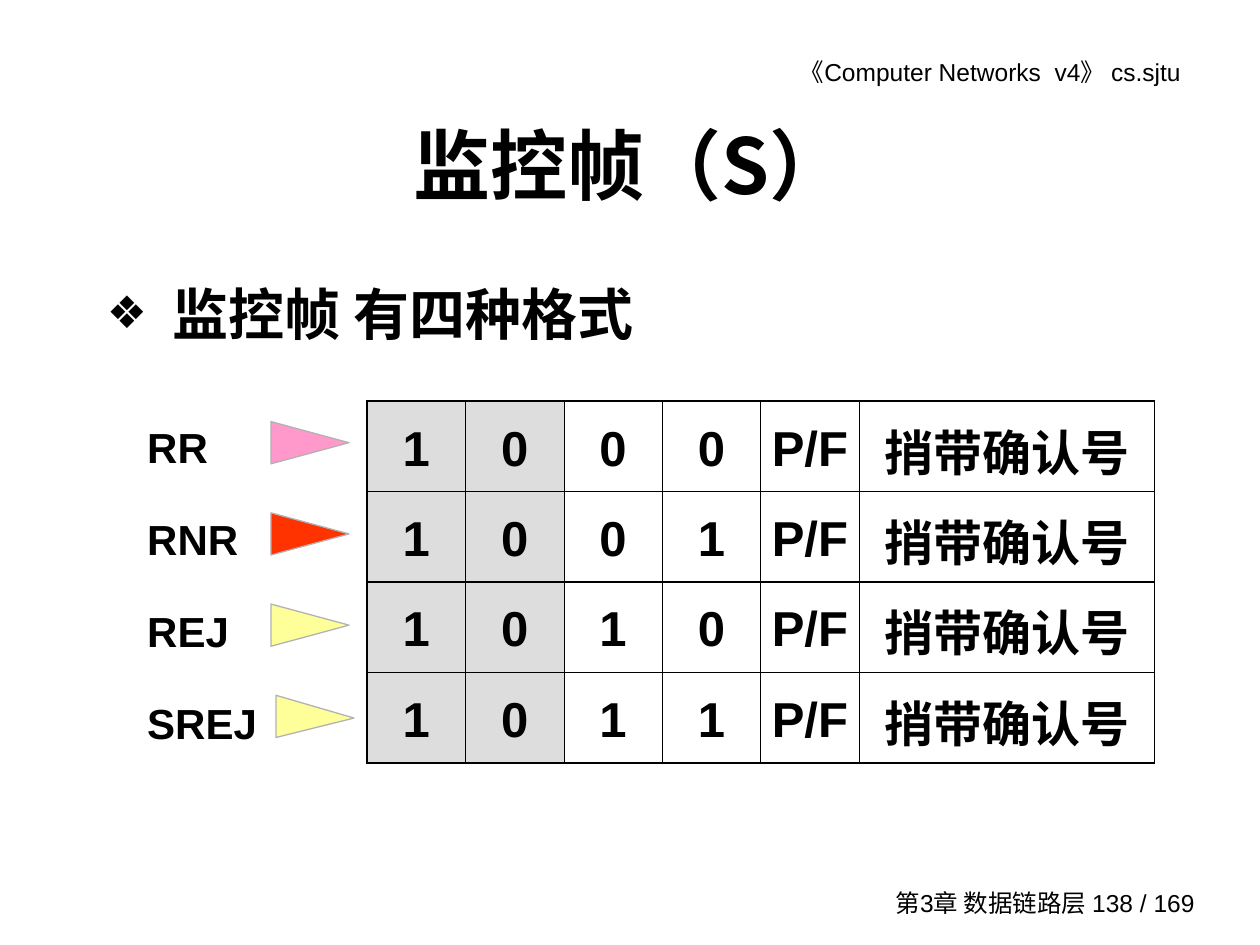
from dataclasses import dataclass

from lxml import etree
from pptx import Presentation
from pptx.dml.color import RGBColor
from pptx.enum.shapes import MSO_SHAPE
from pptx.enum.text import MSO_ANCHOR, PP_ALIGN
from pptx.oxml.ns import qn
from pptx.slide import Slide
from pptx.text.text import TextFrame
from pptx.util import Inches, Length, Pt

LEFT, CENTER, RIGHT = PP_ALIGN.LEFT, PP_ALIGN.CENTER, PP_ALIGN.RIGHT
TOP, MIDDLE = MSO_ANCHOR.TOP, MSO_ANCHOR.MIDDLE
TRIANGLE = MSO_SHAPE.ISOSCELES_TRIANGLE


@dataclass(frozen=True)
class Theme:
    latin: str = "Arial"
    chinese: str = "Noto Sans CJK SC"
    ink: str = "000000"
    fixed_bits: str = "DDDDDD"
    arrow_edge: str = "B2B2B2"
    title: int = 44
    body: int = 32
    cell: int = 28
    label: int = 24
    margin_note: int = 14
    outer_rule: float = 1.08
    inner_rule: float = 0.45


THEME = Theme()


def grid(units: float) -> Length:
    """The slide is a grid of 100 columns by 75 rows of equal pitch."""
    return Inches(units / 10)


@dataclass(frozen=True)
class Area:
    col: float
    row: float
    cols: float
    rows: float

    def lengths(self) -> tuple[Length, ...]:
        return tuple(grid(n) for n in (self.col, self.row, self.cols, self.rows))


@dataclass(frozen=True)
class Style:
    size: int
    bold: bool = True
    align: PP_ALIGN = LEFT
    spacing: float = 1.0
    gap: float = 0
    latin: str = THEME.latin


@dataclass(frozen=True)
class Frame:
    name: str
    code: str
    arrow_color: str
    arrow_shift: float = 0
    tip: float = 0.5


FRAMES = (
    Frame("RR", "00", "FF99CC"),
    Frame("RNR", "01", "FF3300"),
    Frame("REJ", "10", "FFFF99"),
    Frame("SREJ", "11", "FFFF99", arrow_shift=0.4, tip=0.54),
)
FIXED_BITS = "10"
COLUMN_SHARES = (1, 1, 1, 1, 1, 3)
TABLE = Area(29.13, 31.83, 62.5, 28.72)
FIRST_ARROW = Area(21.5, 33.46, 6.2, 3.35)
ARROW_PITCH = 7.24


def write(text_frame: TextFrame, lines: list[str], style: Style) -> None:
    for index, line in enumerate(lines):
        paragraph = text_frame.paragraphs[0] if index == 0 else text_frame.add_paragraph()
        paragraph.alignment = style.align
        paragraph.line_spacing = style.spacing
        paragraph.space_before = Pt(style.gap if index else 0)
        run = paragraph.add_run()
        run.text = line
        font = run.font
        font.size, font.bold, font.name = Pt(style.size), style.bold, style.latin
        font.color.rgb = RGBColor.from_string(THEME.ink)
        etree.SubElement(run._r.get_or_add_rPr(), qn("a:ea"), typeface=THEME.chinese)


def add_text(slide: Slide, area: Area, lines: list[str], style: Style,
             anchor: MSO_ANCHOR = TOP) -> TextFrame:
    text_frame = slide.shapes.add_textbox(*area.lengths()).text_frame
    text_frame.word_wrap = True
    text_frame.vertical_anchor = anchor
    write(text_frame, lines, style)
    return text_frame


def add_bullet(text_frame: TextFrame, mark: str, percent: int, indent: float) -> None:
    properties = text_frame.paragraphs[0]._p.get_or_add_pPr()
    properties.set("marL", str(grid(indent)))
    properties.set("indent", str(-grid(indent)))
    color = etree.SubElement(properties, qn("a:buClr"))
    etree.SubElement(color, qn("a:srgbClr"), val=THEME.ink)
    etree.SubElement(properties, qn("a:buSzPct"), val=str(percent * 1000))
    etree.SubElement(properties, qn("a:buFont"), typeface=THEME.latin)
    etree.SubElement(properties, qn("a:buChar"), char=mark)


def rule_cell(cell, is_first: bool, is_last: bool) -> None:
    """Thin rules between columns, heavier ones everywhere else."""
    widths = {
        "a:lnL": THEME.outer_rule if is_first else THEME.inner_rule,
        "a:lnR": THEME.outer_rule if is_last else THEME.inner_rule,
        "a:lnT": THEME.outer_rule,
        "a:lnB": THEME.outer_rule,
    }
    for tag, width in widths.items():
        rule = etree.SubElement(cell._tc.get_or_add_tcPr(), qn(tag), w=str(Pt(width)))
        fill = etree.SubElement(rule, qn("a:solidFill"))
        etree.SubElement(fill, qn("a:srgbClr"), val=THEME.ink)


def add_frame_table(slide: Slide, frames: tuple[Frame, ...]) -> None:
    last = len(COLUMN_SHARES) - 1
    table = slide.shapes.add_table(len(frames), last + 1, *TABLE.lengths()).table
    table.first_row = table.horz_banding = False
    for column, share in zip(table.columns, COLUMN_SHARES):
        column.width = grid(TABLE.cols * share / sum(COLUMN_SHARES))
    style = Style(THEME.cell, align=CENTER, spacing=1.1)
    for row, frame in zip(table.rows, frames):
        row.height = grid(TABLE.rows / len(frames))
        fields = [*FIXED_BITS, *frame.code, "P/F", "捎带确认号"]
        for index, (cell, field) in enumerate(zip(row.cells, fields)):
            rule_cell(cell, index == 0, index == last)
            if index < len(FIXED_BITS):
                cell.fill.solid()
                cell.fill.fore_color.rgb = RGBColor.from_string(THEME.fixed_bits)
            else:
                cell.fill.background()
            cell.margin_left = cell.margin_right = grid(0.4)
            cell.vertical_anchor = MIDDLE
            write(cell.text_frame, [field], style)


def add_arrow(slide: Slide, area: Area, frame: Frame) -> None:
    """A triangle turned a quarter so that it fills the area, pointing right."""
    upright = Area(area.col + (area.cols - area.rows) / 2,
                   area.row - (area.cols - area.rows) / 2, area.rows, area.cols)
    arrow = slide.shapes.add_shape(TRIANGLE, *upright.lengths())
    arrow.rotation = 90
    arrow.adjustments[0] = frame.tip
    arrow.shadow.inherit = False
    arrow.fill.solid()
    arrow.fill.fore_color.rgb = RGBColor.from_string(frame.arrow_color)
    arrow.line.color.rgb = RGBColor.from_string(THEME.arrow_edge)
    arrow.line.width = Pt(0.75)


def main() -> None:
    presentation = Presentation()
    presentation.slide_width, presentation.slide_height = grid(100), grid(75)
    slide = presentation.slides.add_slide(presentation.slide_layouts[6])

    # Header and footer
    note = Style(THEME.margin_note, bold=False, align=RIGHT)
    header = add_text(slide, Area(52.7, 4, 43.1, 3.4),
                      ["《Computer Networks  v4》 cs.sjtu"], note)
    header.margin_right = grid(2.1)
    add_text(slide, Area(69.4, 70, 26.4, 3.3), ["第3章 数据链路层 138 / 169"], note, MIDDLE)

    # Title and statement
    add_text(slide, Area(7.5, 6.7, 85, 12.5), ["监控帧（S）"],
             Style(THEME.title, align=CENTER, latin=THEME.chinese), MIDDLE)
    statement = add_text(slide, Area(7.5, 21.7, 85, 7.4), ["监控帧 有四种格式"],
                         Style(THEME.body))
    add_bullet(statement, "❖", 80, 5.2)

    # Frame formats with their names and arrows
    add_frame_table(slide, FRAMES)
    add_text(slide, Area(10.7, 31.8, 12.2, 28.1), [frame.name for frame in FRAMES],
             Style(THEME.label, spacing=1.3, gap=15))
    for index, frame in enumerate(FRAMES):
        add_arrow(slide, Area(FIRST_ARROW.col + frame.arrow_shift,
                              FIRST_ARROW.row + index * ARROW_PITCH,
                              FIRST_ARROW.cols, FIRST_ARROW.rows), frame)

    presentation.save("out.pptx")


if __name__ == "__main__":
    main()
